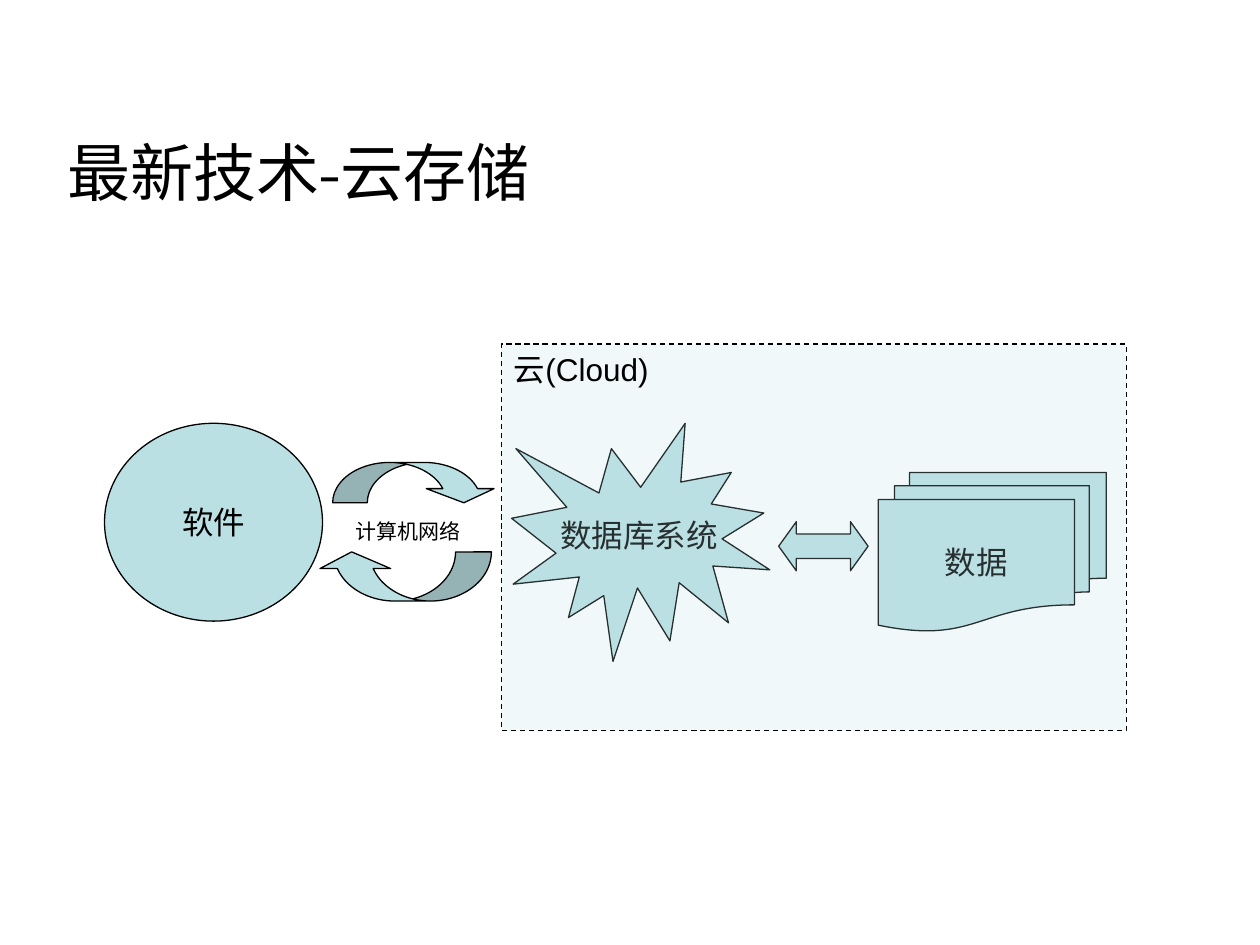
from dataclasses import dataclass
from typing import Optional

from lxml import etree
from pptx import Presentation
from pptx.dml.color import RGBColor
from pptx.enum.dml import MSO_LINE
from pptx.enum.shapes import MSO_SHAPE
from pptx.enum.text import MSO_ANCHOR, PP_ALIGN
from pptx.oxml.ns import qn
from pptx.util import Inches, Pt

OVAL = MSO_SHAPE.OVAL
DOCUMENTS = MSO_SHAPE.FLOWCHART_MULTIDOCUMENT
BURST = MSO_SHAPE.EXPLOSION1
CURVED_ARROW = MSO_SHAPE.CURVED_DOWN_ARROW
DOUBLE_ARROW = MSO_SHAPE.LEFT_RIGHT_ARROW
RECTANGLE = MSO_SHAPE.RECTANGLE
DASH = MSO_LINE.DASH
TOP, MIDDLE = MSO_ANCHOR.TOP, MSO_ANCHOR.MIDDLE
LEFT, CENTER = PP_ALIGN.LEFT, PP_ALIGN.CENTER


@dataclass(frozen=True)
class Theme:
    """Colours, fonts and sizes of the slide."""
    ink: RGBColor = RGBColor(0x00, 0x00, 0x00)
    fill: RGBColor = RGBColor(0xBB, 0xE0, 0xE3)
    cloud_opacity: int = 21
    line_width: float = 0.74
    title_font: str = "TeX Gyre Adventor"
    body_font: str = "Arial"
    title_size: int = 36
    body_size: int = 18
    small_size: int = 12


THEME = Theme()


@dataclass(frozen=True)
class Node:
    """A filled shape of the diagram, with lengths in inches."""
    kind: MSO_SHAPE
    left: float
    top: float
    width: float
    height: float
    text: str = ""
    adjustments: tuple[float, ...] = ()
    rotation: int = 0


NODES = (
    Node(OVAL, 0.83, 3.36, 1.73, 1.57, "软件"),
    Node(DOCUMENTS, 6.97, 3.75, 1.81, 1.26, "数据"),
    Node(BURST, 4.06, 3.36, 2.05, 1.89, "数据库系统"),
    Node(CURVED_ARROW, 2.64, 3.67, 1.31, 0.32, adjustments=(0.86, 1.68, 0.35)),
    Node(CURVED_ARROW, 2.51, 4.38, 1.39, 0.39, adjustments=(0.73, 1.44, 0.34),
         rotation=180),
    Node(DOUBLE_ARROW, 6.18, 4.14, 0.71, 0.39, adjustments=(0.5, 0.36)),
)
CLOUD = Node(RECTANGLE, 3.98, 2.73, 4.96, 3.07, "云(Cloud)")


def write_text(box, text: str, *, size: int = THEME.body_size,
               font: str = THEME.body_font, align: PP_ALIGN = LEFT,
               anchor: MSO_ANCHOR = TOP, wrap: bool = True) -> None:
    """Write one formatted paragraph into a shape or text box."""
    frame = box.text_frame
    frame.word_wrap = wrap
    frame.vertical_anchor = anchor
    para = frame.paragraphs[0]
    para.alignment = align
    span = para.add_run()
    span.text = text
    span.font.size = Pt(size)
    span.font.name = font
    span.font.color.rgb = THEME.ink


def add_node(page, node: Node, *, opacity: Optional[int] = None,
             dash: Optional[MSO_LINE] = None):
    """Draw a node's outline and fill, and return the shape."""
    shape = page.shapes.add_shape(
        node.kind, Inches(node.left), Inches(node.top),
        Inches(node.width), Inches(node.height))
    shape.shadow.inherit = False
    shape.rotation = node.rotation
    for index, value in enumerate(node.adjustments):
        shape.adjustments[index] = value
    shape.fill.solid()
    shape.fill.fore_color.rgb = THEME.fill
    shape.line.color.rgb = THEME.ink
    shape.line.width = Pt(THEME.line_width)
    if dash is not None:
        shape.line.dash_style = dash
    if opacity is not None:
        color = shape.fill._xPr.find(qn("a:solidFill"))[0]
        etree.SubElement(color, qn("a:alpha"), val=str(opacity * 1000))
    return shape


def add_label(page, left: float, top: float, width: float, height: float):
    """Add an empty text box, with lengths in inches."""
    return page.shapes.add_textbox(
        Inches(left), Inches(top), Inches(width), Inches(height))


def build() -> None:
    """Build and save the cloud storage slide."""
    deck = Presentation()
    deck.slide_width, deck.slide_height = Inches(10), Inches(7.5)
    page = deck.slides.add_slide(deck.slide_layouts[6])

    title = add_label(page, 0.44, 0.85, 8.98, 1.02)
    write_text(title, "最新技术-云存储", size=THEME.title_size,
               font=THEME.title_font, anchor=MIDDLE)

    for node in NODES:
        shape = add_node(page, node)
        if node.text:
            write_text(shape, node.text, align=CENTER, anchor=MIDDLE, wrap=False)

    cloud = add_node(page, CLOUD, opacity=THEME.cloud_opacity, dash=DASH)
    write_text(cloud, CLOUD.text)

    network = add_label(page, 2.72, 4.07, 1.05, 0.3)
    write_text(network, "计算机网络", size=THEME.small_size)

    deck.save("out.pptx")


build()
